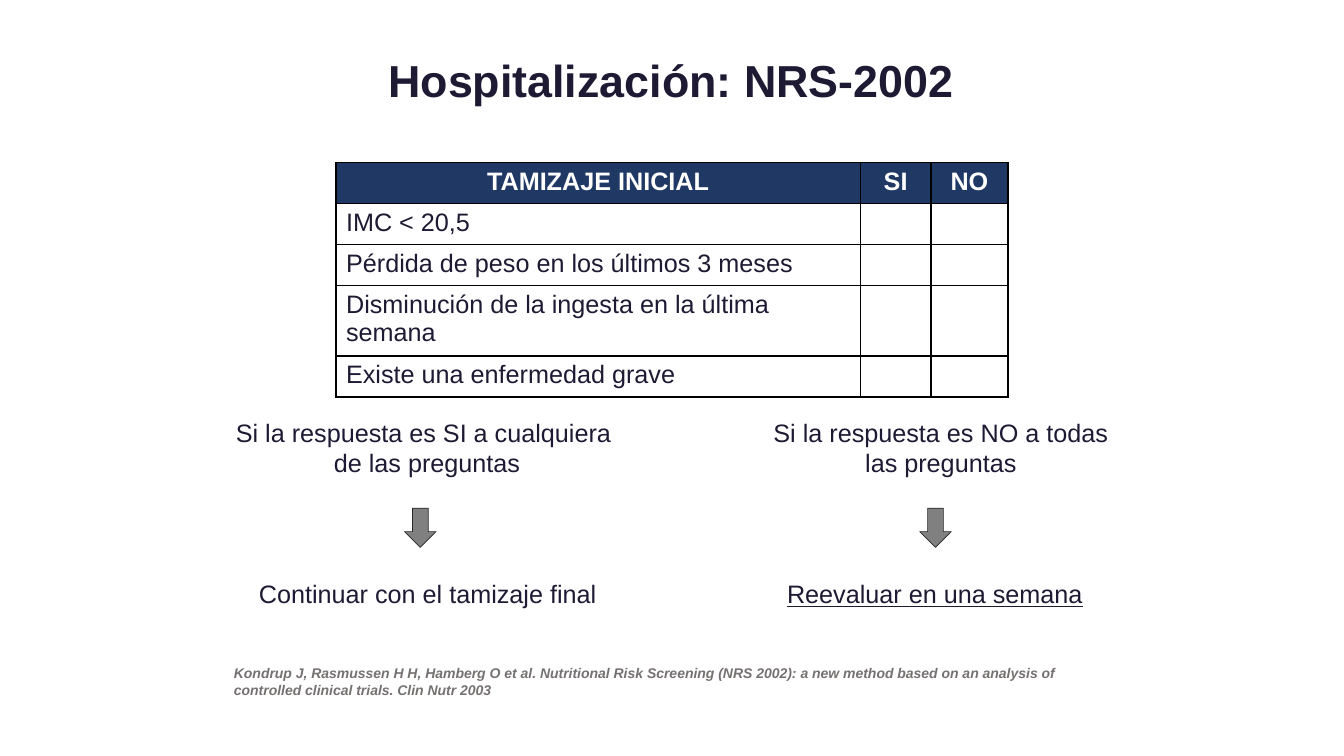
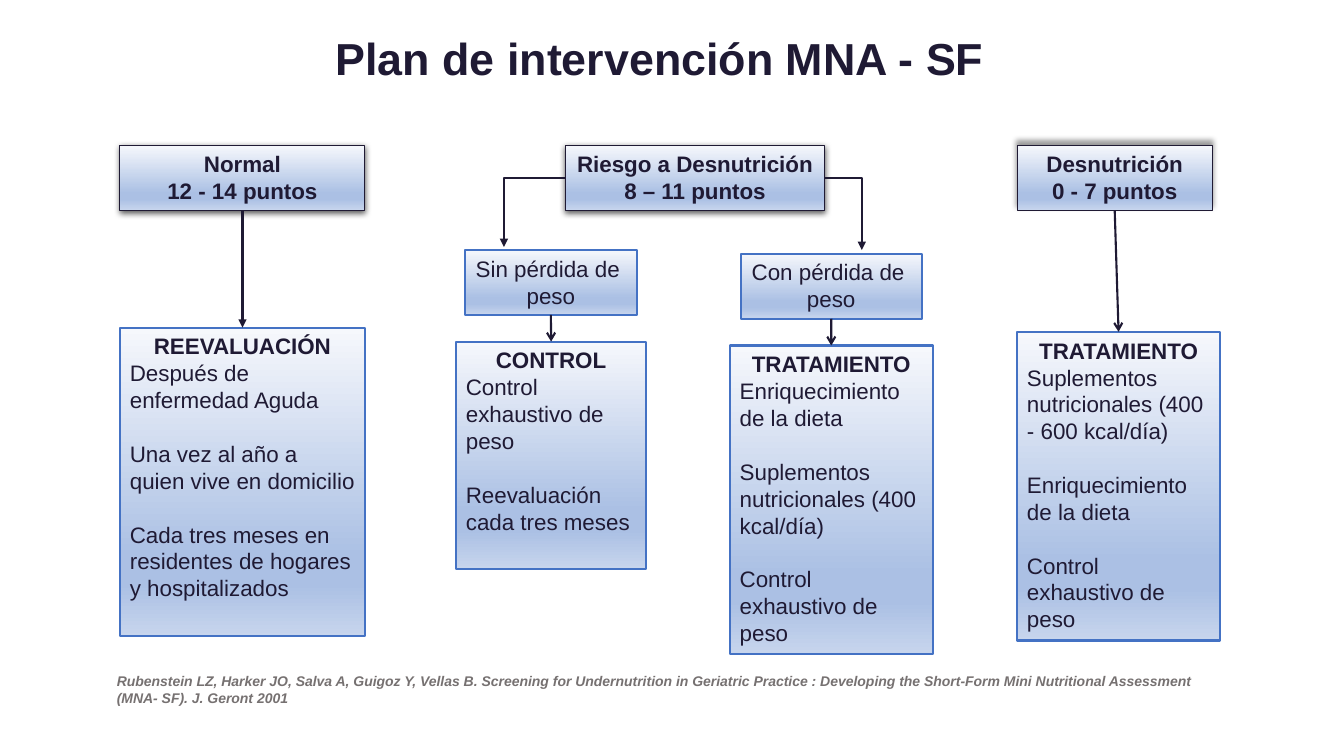
from lxml import etree
from pptx import Presentation
from pptx.dml.color import RGBColor
from pptx.enum.shapes import MSO_CONNECTOR as Connector, MSO_SHAPE as Shape
from pptx.enum.text import MSO_ANCHOR as Anchor, PP_ALIGN as Align
from pptx.oxml import parse_xml
from pptx.oxml.ns import nsdecls, qn
from pptx.util import Pt

FONT = "Arial"
INK, NAVY, WHITE, BLACK = "1F1A34", "203864", "FFFFFF", "000000"
BLUE, CITATION_GREY, ARROW_GREY, ARROW_EDGE = "4472C4", "767171", "808080", "262626"
GRADIENT = [(0, "F6F8FC"), (74, "ABC0E4"), (83, "ABC0E4"), (100, "C7D5ED")]

SCREENING_ROWS = [
    ("TAMIZAJE INICIAL", "SI", "NO"),
    ("IMC < 20,5", "", ""),
    ("Pérdida de peso en los últimos 3 meses", "", ""),
    ("Disminución de la ingesta en la última semana", "", ""),
    ("Existe una enfermedad grave", "", ""),
]
COLUMN_WIDTHS = [374.5, 50.5, 55]
ROW_HEIGHT = 29.3

# Each answer: left, top, width, height, lines, underlined
ANSWERS = [
    (160, 294.5, 290, 51, ["Si la respuesta es SI a cualquiera ", "de las preguntas"], False),
    (545, 294.5, 254, 51, ["Si la respuesta es NO a todas ", "las preguntas"], False),
    (176.5, 409.5, 258, 29, ["Continuar con el tamizaje final"], False),
    (551.5, 409.5, 232.5, 29, ["Reevaluar en una semana"], True),
]
DOWN_ARROW_LEFTS = [289, 657]

NRS_CITATION = (
    "Kondrup J, Rasmussen H H, Hamberg O et al. Nutritional Risk Screening (NRS 2002): "
    "a new method based on an analysis of controlled clinical trials. Clin Nutr 2003"
)
MNA_CITATION = (
    "Rubenstein LZ, Harker JO, Salva A, Guigoz Y, Vellas B. Screening for Undernutrition in "
    "Geriatric Practice : Developing the Short-Form Mini Nutritional Assessment (MNA- SF). "
    "J. Geront 2001"
)

# Shadows: opacity %, blur, distance, direction in degrees
SHADOW_BELOW = (63, 4.5, 1.5, 90)
SHADOW_ABOVE = (40, 4, 3, 270)
LABEL_HEIGHT, SCORE_TOP = 46.5, 103.7
SCORES = {
    "malnourished": (726.5, 139.5, ["Desnutrición", "0 - 7 puntos"], SHADOW_ABOVE),
    "risk": (404, 185, ["Riesgo a Desnutrición", "8 – 11 puntos"], SHADOW_BELOW),
    "normal": (85.7, 175, ["Normal", "12 - 14 puntos"], SHADOW_BELOW),
}
WEIGHT_LABELS = {
    "no loss": (332, 178.5, 123, ["Sin pérdida de ", "peso"]),
    "loss": (529, 181.2, 129.5, ["Con pérdida de ", "peso"]),
}
PLANS = {
    "reassess": (85.7, 234, 175, 220.5, [
        "REEVALUACIÓN",
        "Después de enfermedad Aguda",
        "Una vez al año a quien vive en domicilio",
        "Cada tres meses en residentes de hogares y hospitalizados",
    ]),
    "control": (325.7, 244, 136, 162.5, [
        "CONTROL",
        "Control exhaustivo de peso",
        "Reevaluación cada tres meses",
    ]),
    "treat loss": (521.3, 246.8, 145, 220.5, [
        "TRATAMIENTO",
        "Enriquecimiento de la dieta",
        "Suplementos nutricionales (400 kcal/día)",
        "Control exhaustivo de peso",
    ]),
    "treat malnourished": (726.5, 237, 145, 220.5, [
        "TRATAMIENTO",
        "Suplementos nutricionales (400 - 600 kcal/día)",
        "Enriquecimiento de la dieta",
        "Control exhaustivo de peso",
    ]),
}
PLAN_GAP = 19.2
STRAIGHT_ARROWS = [
    ("malnourished", "treat malnourished", "arrow"),
    ("no loss", "control", "arrow"),
    ("loss", "treat loss", "arrow"),
    ("normal", "reassess", "triangle"),
]
# Elbows leaving the risk box: side of the box, end point
ELBOW_ARROWS = [(3, 615.6, 178.6), (1, 360, 176.4)]


def color(hex_string):
    return RGBColor.from_string(hex_string)


def points(*lengths):
    return [Pt(length) for length in lengths]


def style_paragraph(paragraph, size, hex_color=INK, align=Align.LEFT, **flags):
    """Format every run; flags are font attributes such as bold or italic."""
    paragraph.alignment = align
    for run in paragraph.runs:
        run.font.name, run.font.size = FONT, Pt(size)
        run.font.color.rgb = color(hex_color)
        for name, value in flags.items():
            setattr(run.font, name, value)


def write_lines(shape, lines, size, wrap=True, **style):
    frame = shape.text_frame
    frame.word_wrap = wrap
    frame.vertical_anchor = Anchor.TOP
    frame.text = "\n".join(lines)
    for paragraph in frame.paragraphs:
        style_paragraph(paragraph, size, **style)
    return frame


def add_text(slide, box, lines, size, **style):
    return write_lines(slide.shapes.add_textbox(*points(*box)), lines, size, **style)


def add_title(slide, box, text):
    frame = add_text(slide, box, [text], 32, align=Align.CENTER, bold=True)
    frame.vertical_anchor = Anchor.MIDDLE
    frame.paragraphs[0].line_spacing = 0.9


def add_citation(slide, box, text):
    add_text(slide, box, [text], 10, hex_color=CITATION_GREY, bold=True, italic=True)


def add_shape(slide, kind, box, line_color, line_width):
    shape = slide.shapes.add_shape(kind, *points(*box))
    shape.shadow.inherit = False
    shape.line.color.rgb = color(line_color)
    shape.line.width = Pt(line_width)
    return shape


def add_gradient_box(slide, box, line_color, line_width):
    shape = add_shape(slide, Shape.RECTANGLE, box, line_color, line_width)
    shape.fill.gradient()
    shape.fill.gradient_angle = 270
    stops = shape._element.spPr.find(".//" + qn("a:gsLst"))
    for stop in list(stops):
        stops.remove(stop)
    for position, hex_color in GRADIENT:
        stop = etree.SubElement(stops, qn("a:gs"), pos=str(position * 1000))
        etree.SubElement(stop, qn("a:srgbClr"), val=hex_color)
    return shape


def add_shadow(shape, opacity, blur, distance, direction):
    effects = shape._element.spPr.find(qn("a:effectLst"))
    effects.append(parse_xml(
        f'<a:outerShdw {nsdecls("a")} blurRad="{Pt(blur)}" dist="{Pt(distance)}" '
        f'dir="{direction * 60000}" rotWithShape="0"><a:srgbClr val="{BLACK}">'
        f'<a:alpha val="{opacity * 1000}"/></a:srgbClr></a:outerShdw>'
    ))


def add_arrow(slide, kind, head, end=(0, 0)):
    connector = slide.shapes.add_connector(kind, 0, 0, *points(*end))
    connector.line.color.rgb = color(INK)
    connector.line.width = Pt(1.5)
    properties = connector._element.spPr
    etree.SubElement(properties.find(qn("a:ln")), qn("a:tailEnd"), type=head)
    etree.SubElement(properties, qn("a:effectLst"))
    return connector


def set_borders(cell, hex_color=BLACK, width=1):
    properties = cell._tc.get_or_add_tcPr()
    for index, side in enumerate(("lnL", "lnR", "lnT", "lnB")):
        properties.insert(index, parse_xml(
            f'<a:{side} {nsdecls("a")} w="{Pt(width)}"><a:solidFill>'
            f'<a:srgbClr val="{hex_color}"/></a:solidFill></a:{side}>'
        ))


def add_screening_table(slide):
    row_count = len(SCREENING_ROWS)
    table = slide.shapes.add_table(
        row_count, len(COLUMN_WIDTHS),
        *points(240, 116, sum(COLUMN_WIDTHS), ROW_HEIGHT * row_count),
    ).table
    for column, width in zip(table.columns, COLUMN_WIDTHS):
        column.width = Pt(width)
    for row_index, texts in enumerate(SCREENING_ROWS):
        is_header = row_index == 0
        table.rows[row_index].height = Pt(ROW_HEIGHT)
        for column_index, text in enumerate(texts):
            cell = table.cell(row_index, column_index)
            cell.fill.solid()
            cell.fill.fore_color.rgb = color(NAVY if is_header else WHITE)
            set_borders(cell)
            cell.text_frame.text = text
            style_paragraph(
                cell.text_frame.paragraphs[0], 18, WHITE if is_header else INK,
                Align.CENTER if is_header else Align.LEFT, bold=is_header,
            )


def build_screening_slide(slide):
    add_title(slide, (216, 14.4, 527, 90), "Hospitalización: NRS-2002")
    add_screening_table(slide)
    for *box, lines, underlined in ANSWERS:
        add_text(slide, box, lines, 18, wrap=False, align=Align.CENTER, underline=underlined)
    for left in DOWN_ARROW_LEFTS:
        arrow = add_shape(slide, Shape.DOWN_ARROW, (left, 363, 22.5, 28), ARROW_EDGE, 0.5)
        arrow.fill.solid()
        arrow.fill.fore_color.rgb = color(ARROW_GREY)
    add_citation(slide, (160, 471, 624, 31.5), NRS_CITATION)


def add_plan(slide, box, lines):
    shape = add_gradient_box(slide, box, BLUE, 1.5)
    heading, *items = write_lines(shape, lines, 16).paragraphs
    style_paragraph(heading, 16, align=Align.CENTER, bold=True)
    for item in items[1:]:
        item.space_before = Pt(PLAN_GAP)
    return shape


def build_plan_slide(slide):
    add_title(slide, (194, 4.3, 555, 78.5), "Plan de intervención MNA - SF")
    boxes = {}
    for name, (left, width, lines, shadow) in SCORES.items():
        box = (left, SCORE_TOP, width, LABEL_HEIGHT)
        boxes[name] = add_gradient_box(slide, box, INK, 0.75)
        add_shadow(boxes[name], *shadow)
        write_lines(boxes[name], lines, 16, wrap=False, align=Align.CENTER, bold=True)
    for name, (left, top, width, lines) in WEIGHT_LABELS.items():
        boxes[name] = add_gradient_box(slide, (left, top, width, LABEL_HEIGHT), BLUE, 1.5)
        write_lines(boxes[name], lines, 16, wrap=False, align=Align.CENTER)
    for name, (*box, lines) in PLANS.items():
        boxes[name] = add_plan(slide, box, lines)

    for start, end, head in STRAIGHT_ARROWS:
        arrow = add_arrow(slide, Connector.STRAIGHT, head)
        arrow.begin_connect(boxes[start], 2)
        arrow.end_connect(boxes[end], 0)
    for side, *end in ELBOW_ARROWS:
        arrow = add_arrow(slide, Connector.ELBOW, "triangle", end)
        arrow.begin_connect(boxes["risk"], side)
        arrow.end_x, arrow.end_y = points(*end)
        arrow._element.spPr.find(qn("a:prstGeom")).set("prst", "bentConnector2")
    add_citation(slide, (76.3, 476.6, 804, 31.5), MNA_CITATION)


def main():
    presentation = Presentation()
    presentation.slide_width, presentation.slide_height = points(960, 540)
    for build in (build_screening_slide, build_plan_slide):
        build(presentation.slides.add_slide(presentation.slide_layouts[6]))
    presentation.save("out.pptx")


if __name__ == "__main__":
    main()
